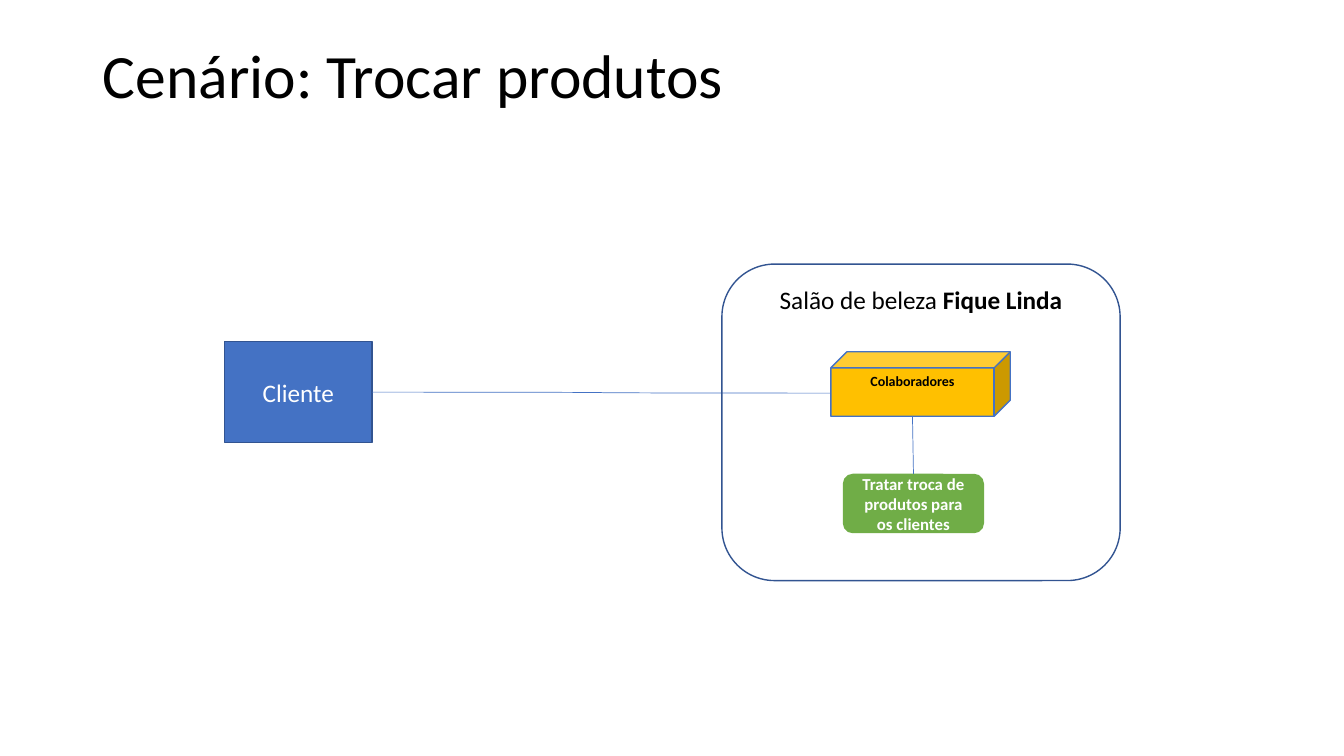
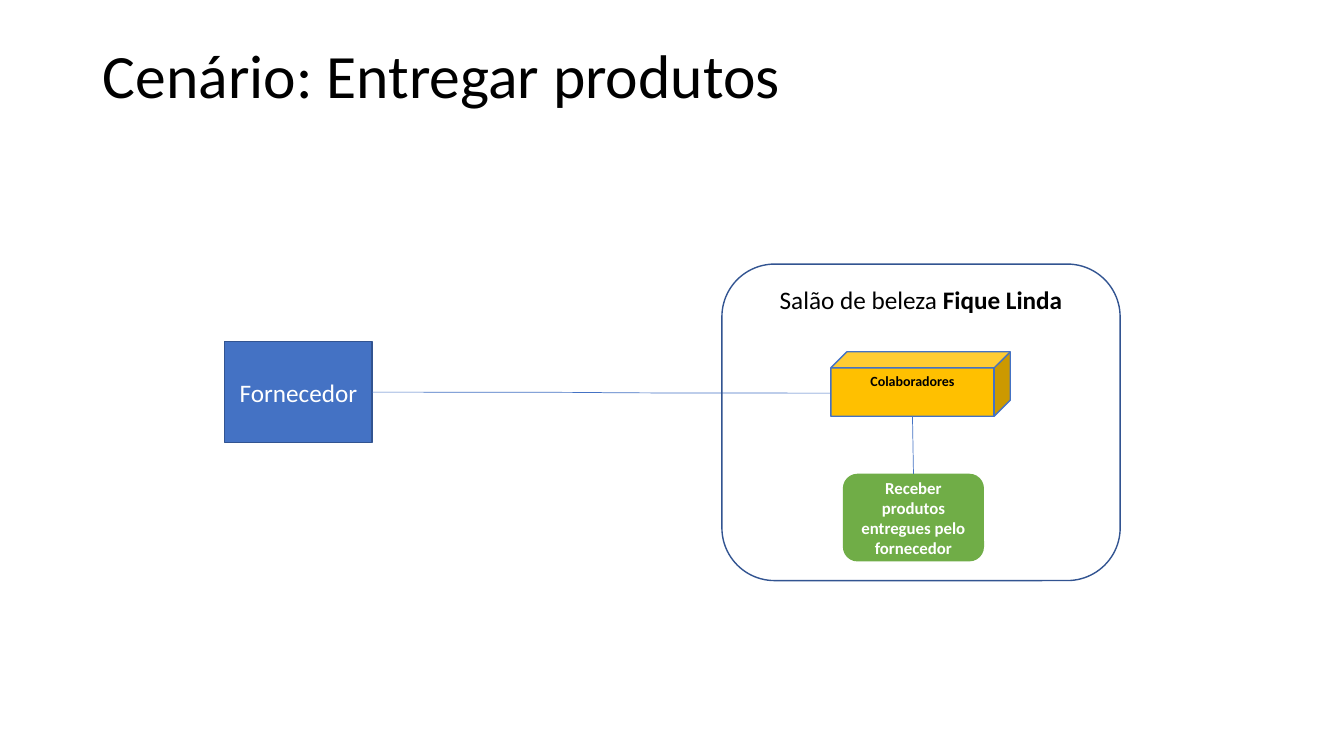
from dataclasses import dataclass
from typing import Any, Optional

from lxml.etree import SubElement
from pptx import Presentation
from pptx.dml.color import RGBColor
from pptx.enum.shapes import MSO_CONNECTOR, MSO_SHAPE
from pptx.enum.text import MSO_ANCHOR, PP_ALIGN
from pptx.oxml.ns import qn
from pptx.util import Inches, Pt

HUES = {
    "black": "000000", "white": "FFFFFF", "blue": "4472C4",
    "navy": "325491", "gold": "FFC000", "green": "70AD47",
}
TITLE = (0.92, 0.4, 11.5, 1.45)


@dataclass
class Run:
    """A piece of text in one style."""
    text: str
    size: int
    hue: str
    bold: bool = False


@dataclass
class Box:
    """A shape with its place, look and text."""
    kind: MSO_SHAPE
    area: tuple[float, float, float, float]
    runs: list[Run]
    fill: Optional[str] = None
    edge: Optional[str] = None
    anchor: MSO_ANCHOR = MSO_ANCHOR.MIDDLE


@dataclass
class Link:
    """A thin line between two points."""
    kind: MSO_CONNECTOR
    start: tuple[float, float]
    end: tuple[float, float]


@dataclass
class Scene:
    """What differs from slide to slide."""
    title: str
    actor: str
    task: str
    height: float


SCENES = [
    Scene("Cenário: Trocar produtos", "Cliente",
          "Tratar troca de produtos para os clientes", 0.59),
    Scene("Cenário: Entregar produtos", "Fornecedor",
          "Receber produtos entregues pelo fornecedor", 0.87),
]


def style(item: Any, form: dict[str, Any]) -> None:
    """Set each value of a format on an object."""
    for name, value in form.items():
        setattr(item, name, value)


def tint(hue: str) -> RGBColor:
    """Give the colour that a name stands for."""
    return RGBColor.from_string(HUES[hue])


def write(frame: Any, runs: list[Run], anchor: MSO_ANCHOR,
          form: dict[str, Any]) -> None:
    """Fill a text frame with one paragraph of runs."""
    style(frame, {"word_wrap": True, "vertical_anchor": anchor})
    para = frame.paragraphs[0]
    style(para, form)
    for run in runs:
        part = para.add_run()
        part.text = run.text
        style(part.font, {"name": "Calibri", "size": Pt(run.size), "bold": run.bold})
        part.font.color.rgb = tint(run.hue)


def paint(line: Any, hue: str, width: float) -> None:
    """Give a line its colour and width."""
    line.color.rgb = tint(hue)
    line.width = Pt(width)


def draw_box(slide: Any, box: Box) -> None:
    """Draw a shape with its text."""
    shape = slide.shapes.add_shape(box.kind, *map(Inches, box.area))
    shape.shadow.inherit = False
    if box.fill:
        shape.fill.solid()
        shape.fill.fore_color.rgb = tint(box.fill)
    else:
        shape.fill.background()
    if box.edge:
        paint(shape.line, box.edge, 1)
    else:
        shape.line.fill.background()
    write(shape.text_frame, box.runs, box.anchor, {"alignment": PP_ALIGN.CENTER})


def draw_link(slide: Any, link: Link) -> None:
    """Draw a connector without a shadow."""
    line = slide.shapes.add_connector(link.kind, *map(Inches, link.start + link.end))
    paint(line.line, "blue", 0.5)
    SubElement(line._element.spPr, qn("a:effectLst"))


def draw_title(slide: Any, text: str) -> None:
    """Place and fill the title."""
    title = slide.shapes.title
    style(title, dict(zip(("left", "top", "width", "height"), map(Inches, TITLE))))
    write(title.text_frame, [Run(text, 44, "black")], MSO_ANCHOR.TOP,
          {"alignment": PP_ALIGN.LEFT, "line_spacing": 0.9})


def draw_scene(deck: Any, scene: Scene) -> None:
    """Build the slide of one scene."""
    slide = deck.slides.add_slide(deck.slide_layouts[5])
    draw_title(slide, scene.title)
    staff = Box(MSO_SHAPE.CUBE, (8.24, 3.49, 1.78, 0.64),
                [Run("Colaboradores", 10, "black", True)],
                "gold", "blue", MSO_ANCHOR.TOP)
    task = Box(MSO_SHAPE.ROUNDED_RECTANGLE, (8.36, 4.7, 1.4, scene.height),
               [Run(scene.task, 12, "white", True)], "green")
    actor = Box(MSO_SHAPE.RECTANGLE, (2.23, 3.39, 1.46, 1),
                [Run(scene.actor, 18, "white")], "blue", "navy")
    salon = Box(MSO_SHAPE.ROUNDED_RECTANGLE, (7.16, 2.62, 3.95, 3.14),
                [Run("Salão de beleza ", 18, "black"),
                 Run("Fique Linda", 18, "black", True)],
                None, "navy", MSO_ANCHOR.TOP)
    for box in (staff, task, actor):
        draw_box(slide, box)
    draw_link(slide, Link(MSO_CONNECTOR.CURVE, (3.69, 3.89), (8.24, 3.9)))
    draw_box(slide, salon)
    draw_link(slide, Link(MSO_CONNECTOR.STRAIGHT, (9.05, 4.13), (9.06, 4.7)))


def main() -> None:
    """Build and save the deck."""
    deck = Presentation()
    style(deck, {"slide_width": Inches(13.33), "slide_height": Inches(7.5)})
    for scene in SCENES:
        draw_scene(deck, scene)
    deck.save("out.pptx")


main()
